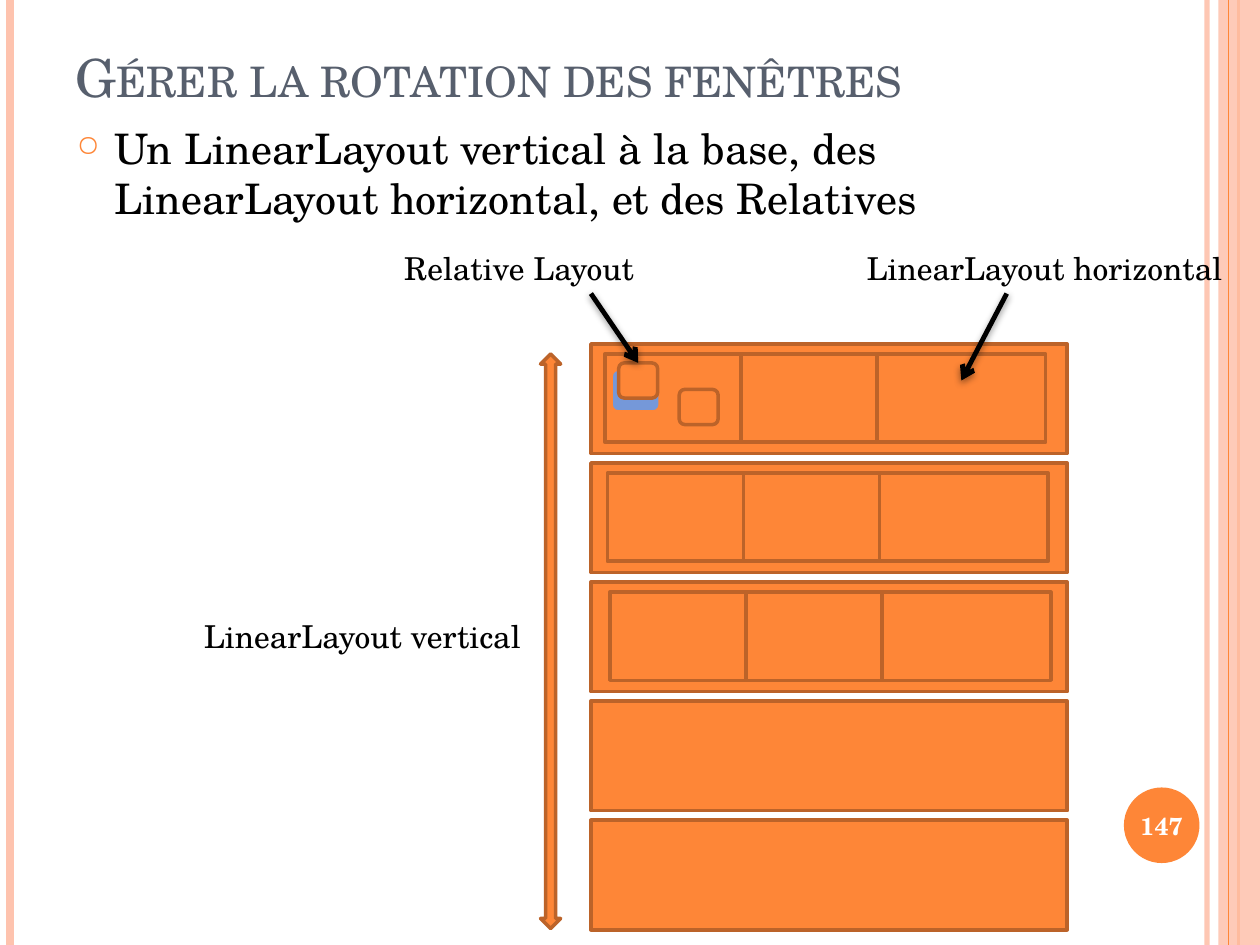
from dataclasses import dataclass

from lxml import etree
from pptx import Presentation
from pptx.dml.color import RGBColor
from pptx.enum.shapes import MSO_CONNECTOR, MSO_SHAPE
from pptx.enum.text import MSO_ANCHOR, MSO_AUTO_SIZE, PP_ALIGN
from pptx.oxml.ns import qn
from pptx.util import Inches, Pt

UNIT = Inches(0.1)  # the slide is a grid of 100 columns by 75 rows
COLUMNS, ROWS = 100, 75


@dataclass(frozen=True)
class Theme:
    font: str = "TeX Gyre Schola"
    title: str = "575F6D"
    text: str = "000000"
    white: str = "FFFFFF"
    orange: str = "FE8637"
    outline: str = "BC6329"
    pale: str = "FEC3AE"
    blue: str = "7598D9"
    title_size: int = 30
    body_size: int = 24
    label_size: int = 18
    number_size: int = 14
    border: int = 2


@dataclass(frozen=True)
class Box:
    left: float
    top: float
    width: float
    height: float

    def inner(self, left, top, width, height):
        return Box(self.left + left, self.top + top, width, height)

    def emu(self):
        return [round(n * UNIT) for n in (self.left, self.top, self.width, self.height)]


THEME = Theme()


def child(parent, tag, **attributes):
    return etree.SubElement(parent, qn(tag), attributes)


def set_alpha(color_parent, percent):
    color = next(color_parent.iter(qn("a:srgbClr")))
    child(color, "a:alpha", val=str(percent * 1000))


def add_block(slide, kind, box, fill=THEME.orange, outline=THEME.outline):
    block = slide.shapes.add_shape(kind, *box.emu())
    block.shadow.inherit = False
    block.fill.solid()
    block.fill.fore_color.rgb = RGBColor.from_string(fill)
    if outline:
        block.line.color.rgb = RGBColor.from_string(outline)
        block.line.width = Pt(THEME.border)
    else:
        block.line.fill.background()
    return block


def add_line(slide, start, end, color, width):
    ends = [round(n * UNIT) for n in (*start, *end)]
    line = slide.shapes.add_connector(MSO_CONNECTOR.STRAIGHT, *ends)
    line.line.color.rgb = RGBColor.from_string(color)
    line.line.width = Pt(width)
    effects = child(line._element.spPr, "a:effectLst")
    return line, effects


def add_arrow(slide, start, end):
    arrow, effects = add_line(slide, start, end, THEME.text, 2.75)
    outline = arrow._element.spPr.find(qn("a:ln"))
    child(outline, "a:tailEnd", type="arrow")
    shadow = child(effects, "a:outerShdw", blurRad=str(Pt(4)), dist=str(Pt(1.6)),
                   dir="5400000", rotWithShape="0")
    child(shadow, "a:srgbClr", val=THEME.text)
    set_alpha(shadow, 42)
    return arrow


def write(shape, text, size, color, bold=False):
    shape.text_frame.text = text
    paragraph = shape.text_frame.paragraphs[0]
    font = paragraph.runs[0].font
    font.name, font.size, font.bold = THEME.font, Pt(size), bold
    font.color.rgb = RGBColor.from_string(color)
    return paragraph


def add_text(slide, box, text, size, color=THEME.text, wrap=True):
    text_box = slide.shapes.add_textbox(*box.emu())
    text_box.text_frame.word_wrap = wrap
    if not wrap:
        text_box.text_frame.auto_size = MSO_AUTO_SIZE.SHAPE_TO_FIT_TEXT
    return text_box, write(text_box, text, size, color)


def draw_frame(slide, box):
    """Vertical rules, the right band and the page number."""
    def rule(x, color, width):
        return add_line(slide, (box.left + x, box.top),
                        (box.left + x, box.top + box.height), color, width)[0]

    set_alpha(rule(95.8, THEME.pale, 3)._element.spPr, 93)
    rule(0.8, THEME.pale, 4.5)
    rule(98.3, THEME.orange, 1.5)
    band = add_block(slide, MSO_SHAPE.RECTANGLE,
                     box.inner(96.7, 0, 3.3, box.height), THEME.pale, None)
    set_alpha(band._element.spPr, 87)
    rule(97.5, THEME.orange, 0.75)

    page = add_block(slide, MSO_SHAPE.OVAL, box.inner(89.2, 62.5, 6, 6), outline=None)
    page.text_frame.word_wrap = False
    page.text_frame.vertical_anchor = MSO_ANCHOR.MIDDLE
    number = write(page, "147", THEME.number_size, THEME.white, bold=True)
    number.alignment = PP_ALIGN.CENTER


def draw_heading(slide, box):
    """Small-caps title above one bulleted statement."""
    title, line = add_text(slide, box.inner(0, 0, box.width, 6.1),
                           "Gérer la rotation des fenêtres", THEME.title_size, THEME.title)
    title.text_frame.vertical_anchor = MSO_ANCHOR.BOTTOM
    line.runs[0]._r.get_or_add_rPr().set("cap", "small")

    statement = add_text(
        slide, box.inner(0.1, 6.2, box.width, 10.6),
        "Un LinearLayout vertical à la base, des LinearLayout horizontal, et des Relatives",
        THEME.body_size)[1]
    properties = statement._p.get_or_add_pPr()
    properties.set("marL", str(Inches(0.3)))
    properties.set("indent", str(-Inches(0.3)))
    child(child(properties, "a:buClr"), "a:srgbClr", val=THEME.orange)
    child(properties, "a:buSzPct", val="70000")
    child(properties, "a:buChar", char="○")


def draw_layouts(slide, box):
    """Five stacked rows; the first three hold three overlapping cells."""
    row_height, row_pitch, cell_pitch = 8.7, 9.45, 10.8
    rows = [box.inner(0, i * row_pitch, box.width, row_height) for i in range(5)]
    for row in rows:
        add_block(slide, MSO_SHAPE.RECTANGLE, row)
    for i, row in enumerate(rows[:3]):
        for j in range(3):
            cell = row.inner(1.1 + 0.2 * i + j * cell_pitch, 0.8, 13.4, 7)
            add_block(slide, MSO_SHAPE.RECTANGLE, cell)

    # Widgets inside the first cell
    add_block(slide, MSO_SHAPE.FLOWCHART_ALTERNATE_PROCESS,
              box.inner(1.6, 2, 3.9, 3.4), THEME.blue, THEME.orange)
    widgets = [add_block(slide, MSO_SHAPE.ROUNDED_RECTANGLE, box.inner(x, y, 3.1, 2.8))
               for x, y in ((2.2, 1.5), (7, 3.6))]
    return widgets[0]


def draw_labels(slide, box, widget):
    """Names of the layouts and the arrows that point at them."""
    def label(x, y, width, text):
        add_text(slide, box.inner(x, y, width, 4), text, THEME.label_size, wrap=False)

    label(0, 29.2, 27.6, "LinearLayout vertical")
    add_block(slide, MSO_SHAPE.UP_DOWN_ARROW, box.inner(27.7, 8.8, 1.6, 45.6))
    label(52.6, 0, 30.6, "LinearLayout horizontal")
    add_arrow(slide, (box.left + 64.7, box.top + 4), (box.left + 61.1, box.top + 10.9))
    label(15.9, 0, 20.6, "Relative Layout")
    pointer = add_arrow(slide, (box.left + 31.7, box.top + 4),
                        (box.left + 35.5, box.top + 9.5))
    pointer.end_connect(widget, 0)


def main():
    deck = Presentation()
    deck.slide_width, deck.slide_height = COLUMNS * UNIT, ROWS * UNIT
    slide = deck.slides.add_slide(deck.slide_layouts[6])
    draw_frame(slide, Box(0, 0, COLUMNS, ROWS))
    draw_heading(slide, Box(5, 3, 81.7, 16.8))
    widget = draw_layouts(slide, Box(46.9, 27.3, 37.8, 46.5))
    draw_labels(slide, Box(15.2, 19.3, 83.2, 54.4), widget)
    deck.save("out.pptx")


if __name__ == "__main__":
    main()
